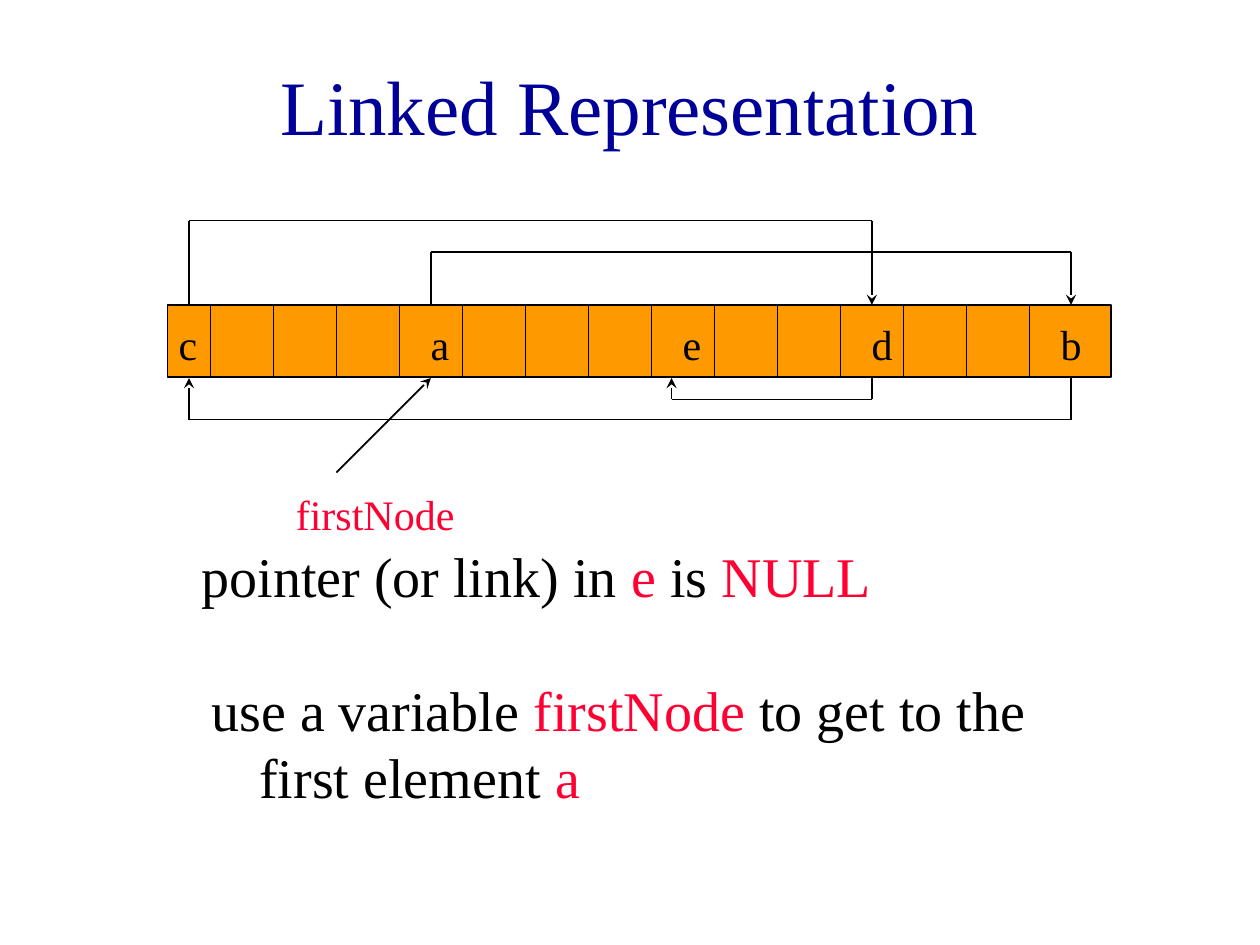
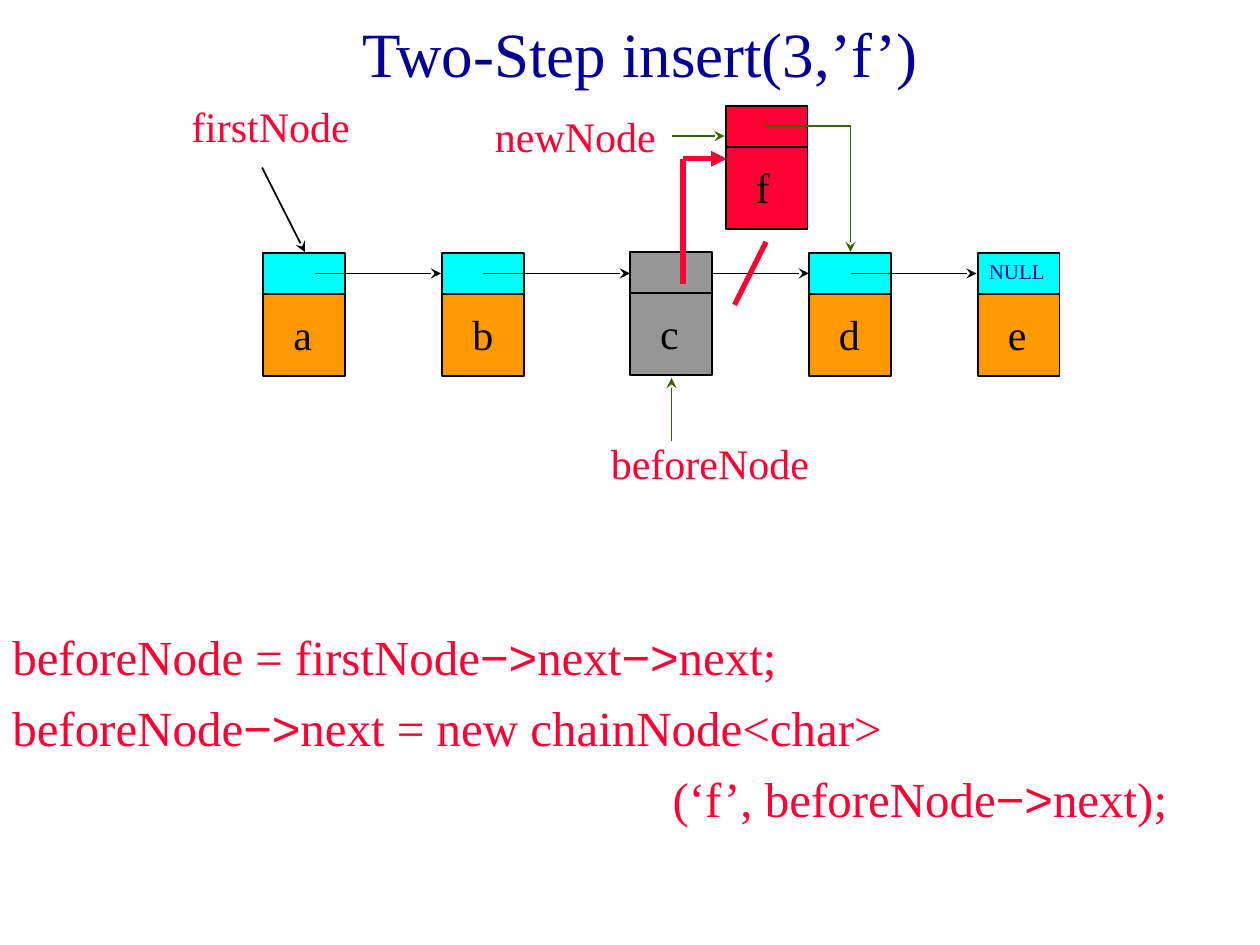
import pptx
import pptx.util
import pptx.dml.color
import pptx.enum.shapes
import pptx.enum.text
import pptx.oxml.ns
import lxml.etree

Inches = pptx.util.Inches
Pt = pptx.util.Pt
PP_ALIGN = pptx.enum.text.PP_ALIGN

# Shared style
COLOURS = {
    "title": "000099", "text": "000000", "accent": "FF0033", "line": "000000",
    "data": "FF9900", "link": "00FFFF", "new": "FF0033", "before": "969696",
    "pointer": "336600",
}
SERIF, SANS = "Times New Roman", "Arial"
TITLE_LAYOUT, TITLE_ONLY_LAYOUT = 0, 5

# Content of the memory slide: spans are (text, colour)
MEMORY_TITLE = ("Linked Representation", (0.75, 0.33, 8.5, 1), 44)
NULL_NOTE = [("pointer (or link) in ", "text"), ("e", "accent"),
             (" is ", "text"), ("NULL", "accent")]
FIRST_NOTE = [("use a variable ", "text"), ("firstNode ", "accent"),
              ("to get to the first element ", "text"), ("a", "accent")]
MEMORY = (1.33, 2.42, 7.49, 0.57)
FIRST_DIVIDER, DIVIDER_GAP, DIVIDER_COUNT = 1.67, 0.5, 14
MEMORY_LETTERS = {"c": 1.32, "a": 3.32, "e": 5.32, "d": 6.82, "b": 8.32}
MEMORY_LINKS = [
    [(3.42, 2.42), (3.42, 2), (8.5, 2), (8.5, 2.42)],
    [(8.5, 3), (8.5, 3.33), (1.5, 3.33), (1.5, 3)],
    [(1.5, 2.42), (1.5, 1.75), (6.92, 1.75), (6.92, 2.42)],
    [(6.92, 3), (6.92, 3.17), (5.33, 3.17), (5.33, 3)],
    [(2.67, 3.75), (3.42, 3)],
]
MEMORY_LABELS = [("firstNode", 2.25, 3.83, 1.83)]

# Content of the insert slide
INSERT_TITLE = ("Two-Step insert(3,’f’)", (0.83, 0, 8.5, 0.83), 36)
NODES = [  # letter, left, top, link colour, data colour
    ("a", 2.09, 2.01, "link", "data"),
    ("b", 3.51, 2.01, "link", "data"),
    ("d", 6.42, 2.01, "link", "data"),
    ("e", 7.76, 2.01, "link", "data"),
    ("f", 5.76, 0.84, "new", "new"),
    ("c", 5, 2, "before", "before"),
]
INSERT_LINKS = [  # points, colour, width, arrowhead
    ([(2.08, 1.33), (2.42, 2)], "line", 1, "stealth"),
    ([(2.5, 2.17), (3.5, 2.17)], "line", 1, "stealth"),
    ([(3.83, 2.17), (5, 2.17)], "line", 1, "stealth"),
    ([(5.65, 2.17), (6.42, 2.17)], "line", 1, "stealth"),
    ([(6.75, 2.17), (7.75, 2.17)], "line", 1, "stealth"),
    ([(6.08, 1), (6.75, 1), (6.75, 2)], "pointer", 1, "stealth"),
    ([(5.33, 1.08), (5.75, 1.08)], "pointer", 1, "stealth"),
    ([(5.33, 3.5), (5.33, 3)], "pointer", 1, "stealth"),
    ([(6.08, 1.92), (5.83, 2.42)], "accent", 3, None),
    ([(5.42, 2.25), (5.42, 1.26), (5.77, 1.26)], "accent", 3, "triangle"),
]
INSERT_LABELS = [("firstNode", 1.42, 0.75, 1.83), ("newNode", 3.83, 0.83, 1.67),
                 ("beforeNode", 4.75, 3.42, 2)]
ARROW = "−>"
CODE = [  # left indent, code
    (0, "beforeNode = firstNode−>next−>next;"),
    (0, "beforeNode−>next = new chainNode<char>"),
    (5.24, "(‘f’, beforeNode−>next);"),
]


def rgb(name):
    return pptx.dml.color.RGBColor.from_string(COLOURS[name])


def place(shape, area):
    for side, length in zip(("left", "top", "width", "height"), area):
        setattr(shape, side, Inches(length))


def add_span(para, text, colour="text", **formats):
    span = para.add_run()
    span.text = text
    for key, value in {"name": SERIF, **formats}.items():
        setattr(span.font, key, value)
    span.font.color.rgb = rgb(colour)


def set_indent(para, left, first=0):
    properties = para._p.get_or_add_pPr()
    properties.set("marL", str(Inches(left)))
    properties.set("indent", str(Inches(first)))


def set_frame(box, **formats):
    frame = box.text_frame
    settings = {"word_wrap": True, "auto_size": pptx.enum.text.MSO_AUTO_SIZE.NONE,
                "vertical_anchor": pptx.enum.text.MSO_ANCHOR.TOP, **formats}
    for key, value in settings.items():
        setattr(frame, key, value)
    return frame


def add_box(page, area, **formats):
    box = page.shapes.add_textbox(*map(Inches, area))
    return set_frame(box, **formats)


def add_text(page, text, area, colour="text", size=24, wrap=True):
    frame = add_box(page, area, word_wrap=wrap)
    add_span(frame.paragraphs[0], text, colour, size=Pt(size))


def add_labels(page, labels):
    for text, left, top, width in labels:
        add_text(page, text, (left, top, width, 0.5), "accent")


def add_letter(page, letter, left, top):
    add_text(page, letter, (left, top, 0.36, 0.5), wrap=False)


def add_title(page, text, area, size):
    title = page.shapes.title
    place(title, area)
    frame = set_frame(title, vertical_anchor=pptx.enum.text.MSO_ANCHOR.MIDDLE)
    frame.paragraphs[0].alignment = PP_ALIGN.CENTER
    add_span(frame.paragraphs[0], text, "title", size=Pt(size))


def add_note(frame, spans):
    para = frame.paragraphs[0]
    set_indent(para, 0.38, -0.38)
    para.alignment = PP_ALIGN.LEFT
    for text, colour in spans:
        add_span(para, text, colour, size=Pt(32))


def add_cell(page, area, colour):
    cell = page.shapes.add_shape(pptx.enum.shapes.MSO_SHAPE.RECTANGLE, *map(Inches, area))
    cell.shadow.inherit = False
    cell.fill.solid()
    cell.fill.fore_color.rgb = rgb(colour)
    cell.line.color.rgb = rgb("line")
    cell.line.width = Pt(1)


def add_route(page, points, colour="line", width=1, arrowhead="stealth"):
    """Join the points with straight lines; the last one carries the arrowhead."""
    qn = pptx.oxml.ns.qn
    for start, end in zip(points, points[1:]):
        line = page.shapes.add_connector(
            pptx.enum.shapes.MSO_CONNECTOR.STRAIGHT, *map(Inches, start + end))
        line.line.color.rgb = rgb(colour)
        line.line.width = Pt(width)
        lxml.etree.SubElement(line._element.spPr, qn("a:effectLst"))
        if arrowhead and end == points[-1]:
            tail = lxml.etree.SubElement(line.line._get_or_add_ln(), qn("a:tailEnd"))
            tail.set("type", arrowhead)


def add_node(page, letter, left, top, link, data):
    side = 0.65
    add_cell(page, (left, top + side / 2, side, side), data)
    add_cell(page, (left, top, side, side / 2), link)
    add_letter(page, letter, left + 0.14, top + 0.39)


def build_memory_slide(deck):
    page = deck.slides.add_slide(deck.slide_layouts[TITLE_LAYOUT])
    add_title(page, *MEMORY_TITLE)

    # Notes below the diagram
    body = page.placeholders[1]
    place(body, (1.5, 4.25, 7, 1))
    add_note(set_frame(body), NULL_NOTE)
    add_note(add_box(page, (1.58, 5.31, 7, 1.28)), FIRST_NOTE)

    # Memory strip and its dividers
    add_cell(page, MEMORY, "data")
    for index in range(DIVIDER_COUNT):
        x = FIRST_DIVIDER + index * DIVIDER_GAP
        add_route(page, [(x, 2.42), (x, 3)], arrowhead=None)
    for letter, left in MEMORY_LETTERS.items():
        add_letter(page, letter, left, 2.48)

    # Links between elements
    for points in MEMORY_LINKS:
        add_route(page, points)
    add_labels(page, MEMORY_LABELS)


def build_insert_slide(deck):
    page = deck.slides.add_slide(deck.slide_layouts[TITLE_ONLY_LAYOUT])
    add_title(page, *INSERT_TITLE)

    # Chain of nodes
    for node in NODES:
        add_node(page, *node)
    for link in INSERT_LINKS:
        add_route(page, *link)
    add_text(page, "NULL", (7.75, 2, 0.67, 0.3), "title", 12)
    add_labels(page, INSERT_LABELS)

    # Code, with its arrows in the sans font
    frame = add_box(page, (0, 4.92, 10, 2.26))
    for index, (indent, code) in enumerate(CODE):
        para = frame.add_paragraph() if index else frame.paragraphs[0]
        set_indent(para, indent)
        if index:
            para.space_before = Pt(7)
        for position, part in enumerate(code.split(ARROW)):
            if position:
                add_span(para, ARROW, "accent", size=Pt(28), name=SANS)
            add_span(para, part, "accent", size=Pt(28))


def main():
    deck = pptx.Presentation()
    deck.slide_width, deck.slide_height = Inches(10), Inches(7.5)
    build_memory_slide(deck)
    build_insert_slide(deck)
    deck.save("out.pptx")


if __name__ == "__main__":
    main()
